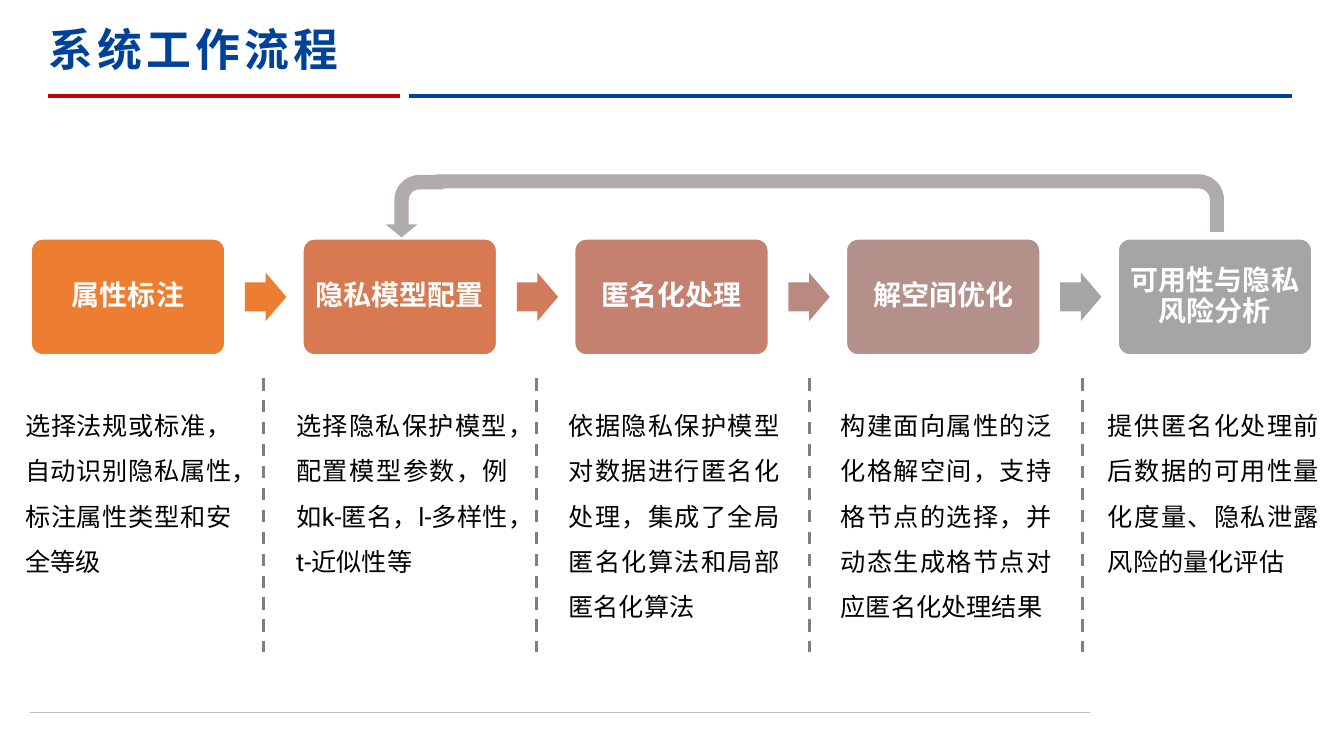
from dataclasses import dataclass

from lxml import etree
from pptx import Presentation
from pptx.dml.color import RGBColor
from pptx.enum.dml import MSO_LINE
from pptx.enum.shapes import MSO_CONNECTOR, MSO_SHAPE
from pptx.enum.text import MSO_ANCHOR, MSO_AUTO_SIZE, PP_ALIGN
from pptx.oxml.ns import qn
from pptx.util import Inches, Pt

STRAIGHT = MSO_CONNECTOR.STRAIGHT
ROUND_RECT = MSO_SHAPE.ROUNDED_RECTANGLE
RIGHT_ARROW = MSO_SHAPE.RIGHT_ARROW
BENT_ARROW = MSO_SHAPE.BENT_ARROW
DASH = MSO_LINE.DASH
TOP, MIDDLE = MSO_ANCHOR.TOP, MSO_ANCHOR.MIDDLE
LEFT, CENTER, JUSTIFY = PP_ALIGN.LEFT, PP_ALIGN.CENTER, PP_ALIGN.JUSTIFY


@dataclass(frozen=True)
class Theme:
    font: str = "Roboto"
    blue: str = "004299"
    red: str = "C00000"
    white: str = "FFFFFF"
    black: str = "000000"
    divider: str = "808080"
    footer: str = "BFBFBF"
    feedback: str = "AFABAB"
    title_size: int = 32
    step_size: int = 20
    caption_size: int = 18


THEME = Theme()

# Step label, box colour, colour of the arrow after it
STEPS = [
    ("属性标注", "ED7D31", "ED7D31"),
    ("隐私模型配置", "D87A51", "D17B5C"),
    ("匿名化处理", "C48170", "B98A82"),
    ("解空间优化", "B4908B", "A5A5A5"),
    ("可用性与隐私风险分析", "A5A5A5", None),
]

# Caption left, width, text
CAPTIONS = [
    (0.15, 2.25, "选择法规或标准，自动识别隐私属性，标注属性类型和安全等级"),
    (2.84, 2.3, "选择隐私保护模型，配置模型参数，例如k-匿名，l-多样性，t-近似性等"),
    (5.54, 2.29, "依据隐私保护模型对数据进行匿名化处理，集成了全局匿名化算法和局部匿名化算法"),
    (8.24, 2.29, "构建面向属性的泛化格解空间，支持格节点的选择，并动态生成格节点对应匿名化处理结果"),
    (10.89, 2.29, "提供匿名化处理前后数据的可用性量化度量、隐私泄露风险的量化评估"),
]


def add_run(p, text, size, color, bold=False):
    r = p.add_run()
    r.text = text
    r.font.size = Pt(size)
    r.font.bold = bold
    r.font.name = THEME.font
    r.font.color.rgb = RGBColor.from_string(color)
    rPr = r.font._element
    etree.SubElement(rPr, qn("a:ea")).set("typeface", THEME.font)
    return rPr


def add_line(slide, x1, y1, x2, y2, color, width, dash=None):
    line = slide.shapes.add_connector(
        STRAIGHT, Inches(x1), Inches(y1), Inches(x2), Inches(y2))
    line.line.color.rgb = RGBColor.from_string(color)
    line.line.width = Pt(width)
    if dash:
        line.line.dash_style = dash
    etree.SubElement(line._element.spPr, qn("a:effectLst"))


def add_block(slide, kind, x, y, w, h, color, adjustments):
    sp = slide.shapes.add_shape(kind, Inches(x), Inches(y), Inches(w), Inches(h))
    sp.shadow.inherit = False
    sp.fill.solid()
    sp.fill.fore_color.rgb = RGBColor.from_string(color)
    sp.line.fill.background()
    for i, value in enumerate(adjustments):
        sp.adjustments[i] = value
    return sp


def add_header(slide, x, y, w):
    """Title with a red and a blue rule below it."""
    title = slide.shapes.title
    title.left, title.top = Inches(x - 0.1), Inches(y)
    title.width, title.height = Inches(7.78), Inches(0.64)
    tf = title.text_frame
    tf.word_wrap = True
    tf.auto_size = MSO_AUTO_SIZE.NONE
    tf.vertical_anchor = TOP
    p = tf.paragraphs[0]
    p.alignment = LEFT
    add_run(p, "系统工作流程", THEME.title_size, THEME.blue, True).set("spc", "300")

    rule_y = y + 0.78
    add_line(slide, x + 3.58, rule_y, x + w, rule_y, THEME.blue, 3)
    add_line(slide, x, rule_y, x + 3.49, rule_y, THEME.red, 3)


def add_process(slide, x, y, w, h):
    """Row of equally spaced step boxes joined by arrows."""
    box_w = 1.92
    pitch = (w - box_w) / (len(STEPS) - 1)
    arrow_w, arrow_h = 0.41, 0.48
    for i, (label, color, arrow_color) in enumerate(STEPS):
        left = x + i * pitch
        box = add_block(slide, ROUND_RECT, left, y, box_w, h, color, [0.1])
        box.line.color.rgb = RGBColor.from_string(THEME.white)
        box.line.width = Pt(1)
        tf = box.text_frame
        tf.word_wrap = True
        tf.vertical_anchor = MIDDLE
        tf.margin_left = tf.margin_right = Inches(0.08)
        tf.margin_top = tf.margin_bottom = Inches(0.08)
        p = tf.paragraphs[0]
        p.alignment = CENTER
        p.line_spacing = 0.9
        add_run(p, label, THEME.step_size, THEME.white, True)
        if arrow_color:
            add_block(slide, RIGHT_ARROW, left + box_w + 0.2, y + (h - arrow_h) / 2,
                      arrow_w, arrow_h, arrow_color, [0.6, 0.5])


def add_feedback(slide, x, y, w):
    """Loop from the last step back to the second one."""
    loop = add_block(slide, BENT_ARROW, x + 0.36, y, w - 0.36, 0.57,
                     THEME.feedback, [0.25, 0.123, 0.294, 0.438])
    head = add_block(slide, BENT_ARROW, x, y + 0.03, 0.62, 0.57,
                     THEME.feedback, [0.25, 0.278, 0.228, 0.438])
    head.rotation = 270
    for sp in (loop, head):
        sp._element.spPr.find(qn("a:xfrm")).set("flipH", "1")


def add_captions(slide, y):
    """Explanation below each step."""
    for left, width, text in CAPTIONS:
        box = slide.shapes.add_textbox(
            Inches(left), Inches(y), Inches(width), Inches(2.32))
        tf = box.text_frame
        tf.word_wrap = True
        p = tf.paragraphs[0]
        p.alignment = JUSTIFY
        p.line_spacing = 1.5
        add_run(p, text, THEME.caption_size, THEME.black)


def add_dividers(slide, x, y, h):
    """Dashed lines between the captions."""
    for i in range(len(CAPTIONS) - 1):
        left = x + i * 2.71
        add_line(slide, left, y, left, y + h, THEME.divider, 2.25, DASH)


def main():
    prs = Presentation()
    prs.slide_width, prs.slide_height = Inches(13.33), Inches(7.5)
    slide = prs.slides.add_slide(prs.slide_layouts[5])

    add_line(slide, 0.3, 7.07, 10.81, 7.07, THEME.footer, 0.5)  # footer rule
    add_header(slide, 0.48, 0.17, 12.33)
    add_process(slide, 0.31, 2.37, 12.7, 1.15)
    add_feedback(slide, 3.8, 1.73, 8.34)
    add_dividers(slide, 2.61, 3.75, 2.72)
    add_captions(slide, 3.87)

    prs.save("out.pptx")


if __name__ == "__main__":
    main()
